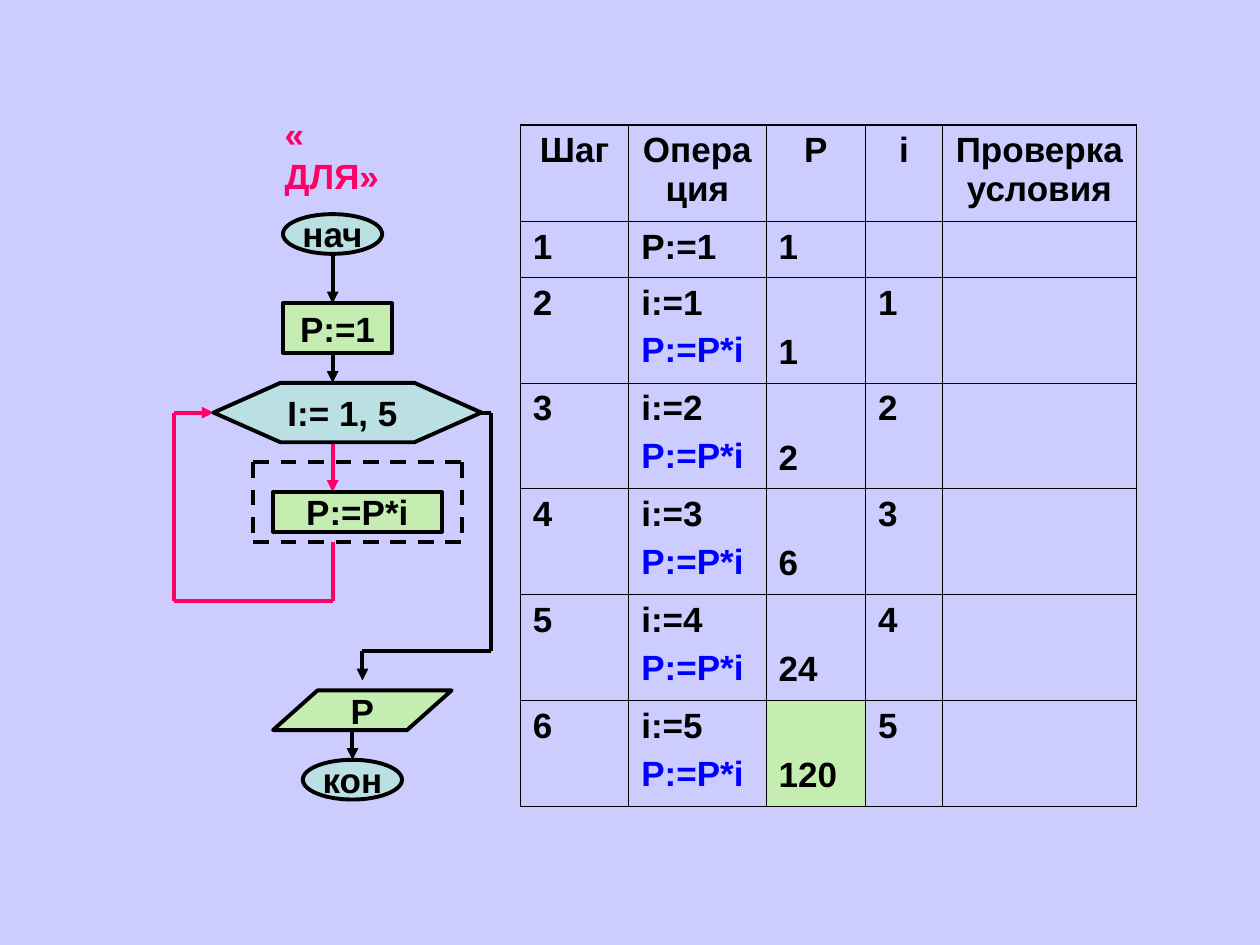
"""Build a slide with a FOR-loop flowchart and its step-by-step trace table."""
from dataclasses import dataclass

from pptx import Presentation
from pptx import util as u
from pptx.dml.color import RGBColor
from pptx.enum import dml, shapes, text
from pptx.oxml.ns import qn
from lxml import etree


@dataclass(frozen=True)
class Theme:
    font: str = "Arial"
    size: float = 20
    backdrop: str = "CCCCFF"
    ink: str = "000000"
    loop: str = "FF0066"
    formula: str = "0000FF"
    control: str = "BBE0E3"
    action: str = "C5EDB1"
    stroke: float = 2.25
    thin: float = 0.45
    edge: float = 1.08


THEME = Theme()
WIDTH, HEIGHT = u.Inches(10), u.Inches(7.5)
STEP = WIDTH / 127
CHART_LEFT, CHART_TOP = u.Inches(1.38), u.Inches(1.7)
TITLE = "« ДЛЯ»"
TITLE_AT = (2.16, 0.84, 1.18, 0.44)

KIND = shapes.MSO_SHAPE
BLOCKS = [
    (KIND.OVAL, "нач", THEME.control, (11, 0, 10, 4), None),
    (KIND.RECTANGLE, "P:=1", THEME.action, (11, 9, 11, 5), None),
    (KIND.HEXAGON, "I:= 1, 5 ", THEME.control, (4, 17, 27, 6), 1.126),
    (KIND.RECTANGLE, "P:=P*i", THEME.action, (10, 28, 17, 4), None),
    (KIND.PARALLELOGRAM, "P", THEME.action, (10, 48, 18, 4), 1.122),
    (KIND.OVAL, "кон", THEME.control, (13, 55, 10, 4), None),
]
ARROWS = [
    (THEME.ink, [(16, 4), (16, 9)]),
    (THEME.ink, [(16, 14), (16, 17)]),
    (THEME.loop, [(16, 23), (16, 28)]),
    (THEME.loop, [(16, 33), (16, 39), (0, 39), (0, 20), (4, 20)]),
    (THEME.ink, [(31, 20), (32, 20), (32, 44), (19, 44), (19, 47)]),
    (THEME.ink, [(18, 52), (18, 55)]),
]
LOOP_BODY = [
    [(8, 25), (8, 33), (29, 33)],
    [(8, 25), (29, 25), (29, 33)],
]

HEADER = ["Шаг", "Операция", "Р", "i", "Проверка условия"]
PRODUCTS = [1, 2, 6, 24, 120]
ROWS = [HEADER, ["1", "P:=1", "1", "", ""]] + [
    [str(i + 1), f"i:={i}\nP:=P*i", str(product), str(i), ""]
    for i, product in enumerate(PRODUCTS, 1)
]
TABLE_LEFT, TABLE_TOP = 4.13, 0.99
COLUMN_WIDTHS = [0.86, 1.09, 0.79, 0.61, 1.54]
ROW_HEIGHTS = [0.77, 0.44] + [0.84] * len(PRODUCTS)
PRODUCT_COLUMN = 2
SECOND_LINE = 0.44


def style(para, color=THEME.ink, align=text.PP_ALIGN.LEFT):
    para.alignment = align
    font = para.font
    font.name, font.size, font.bold = THEME.font, u.Pt(THEME.size), True
    font.color.rgb = RGBColor.from_string(color)


def place(column, row):
    return round(CHART_LEFT + column * STEP), round(CHART_TOP + row * STEP)


def add_title(page):
    title = page.shapes.title
    title.left, title.top, title.width, title.height = map(u.Inches, TITLE_AT)
    frame = title.text_frame
    frame.text = TITLE
    frame.word_wrap = False
    frame.auto_size = text.MSO_AUTO_SIZE.NONE
    frame.vertical_anchor = text.MSO_ANCHOR.TOP
    style(frame.paragraphs[0], THEME.loop)


def add_block(page, kind, label, fill, area, adjustment):
    column, row, wide, high = area
    box = page.shapes.add_shape(
        kind, *place(column, row), round(wide * STEP), round(high * STEP))
    if adjustment:
        box.adjustments[0] = adjustment
    box.shadow.inherit = False
    box.fill.solid()
    box.fill.fore_color.rgb = RGBColor.from_string(fill)
    box.line.color.rgb = RGBColor.from_string(THEME.ink)
    box.line.width = u.Pt(THEME.stroke)
    frame = box.text_frame
    frame.text = label
    frame.word_wrap = False
    frame.vertical_anchor = text.MSO_ANCHOR.MIDDLE
    style(frame.paragraphs[0], align=text.PP_ALIGN.CENTER)


def add_path(page, color, points, arrow=False, dashed=False):
    for start, end in zip(points, points[1:]):
        line = page.shapes.add_connector(
            shapes.MSO_CONNECTOR.STRAIGHT, *place(*start), *place(*end))
        line.line.color.rgb = RGBColor.from_string(color)
        line.line.width = u.Pt(THEME.stroke)
        if dashed:
            line.line.dash_style = dml.MSO_LINE.DASH
        if arrow and end == points[-1]:
            etree.SubElement(line.line._get_or_add_ln(), qn("a:tailEnd"), type="triangle")
        etree.SubElement(line._element.spPr, qn("a:effectLst"))


def add_borders(cell, widths):
    properties = cell._tc.get_or_add_tcPr()
    for side, width in widths.items():
        border = etree.SubElement(properties, qn(f"a:ln{side}"), w=str(u.Pt(width)))
        fill = etree.SubElement(border, qn("a:solidFill"))
        etree.SubElement(fill, qn("a:srgbClr"), val=THEME.ink)


def fill_cell(cell, row, column, content):
    last_column = len(HEADER) - 1
    outer = {"L": column == 0, "R": column == last_column, "T": row == 0, "B": False}
    add_borders(cell, {side: THEME.edge if is_edge else THEME.thin
                       for side, is_edge in outer.items()})
    if row == len(ROWS) - 1 and column == PRODUCT_COLUMN:
        cell.fill.solid()
        cell.fill.fore_color.rgb = RGBColor.from_string(THEME.action)
    else:
        cell.fill.background()
    if row > 1 and column == PRODUCT_COLUMN:
        cell.margin_top = u.Inches(SECOND_LINE)
    cell.text_frame.text = content
    align = text.PP_ALIGN.CENTER if row == 0 else text.PP_ALIGN.LEFT
    for index, para in enumerate(cell.text_frame.paragraphs):
        para.space_before = u.Pt(5)
        style(para, THEME.formula if index else THEME.ink, align)


def add_trace(page):
    area = (TABLE_LEFT, TABLE_TOP, sum(COLUMN_WIDTHS), sum(ROW_HEIGHTS))
    table = page.shapes.add_table(
        len(ROWS), len(HEADER), *map(u.Inches, area)).table
    table.first_row = table.horz_banding = False
    for column, width in zip(table.columns, COLUMN_WIDTHS):
        column.width = u.Inches(width)
    for row, height in zip(table.rows, ROW_HEIGHTS):
        row.height = u.Inches(height)
    for row, contents in enumerate(ROWS):
        for column, content in enumerate(contents):
            fill_cell(table.cell(row, column), row, column, content)


def main():
    deck = Presentation()
    deck.slide_width, deck.slide_height = WIDTH, HEIGHT
    page = deck.slides.add_slide(deck.slide_layouts.get_by_name("Title Only"))
    page.background.fill.solid()
    page.background.fill.fore_color.rgb = RGBColor.from_string(THEME.backdrop)
    add_title(page)
    for color, points in ARROWS:
        add_path(page, color, points, arrow=True)
    for points in LOOP_BODY:
        add_path(page, THEME.ink, points, dashed=True)
    for block in BLOCKS:
        add_block(page, *block)
    add_trace(page)
    deck.save("out.pptx")


if __name__ == "__main__":
    main()
